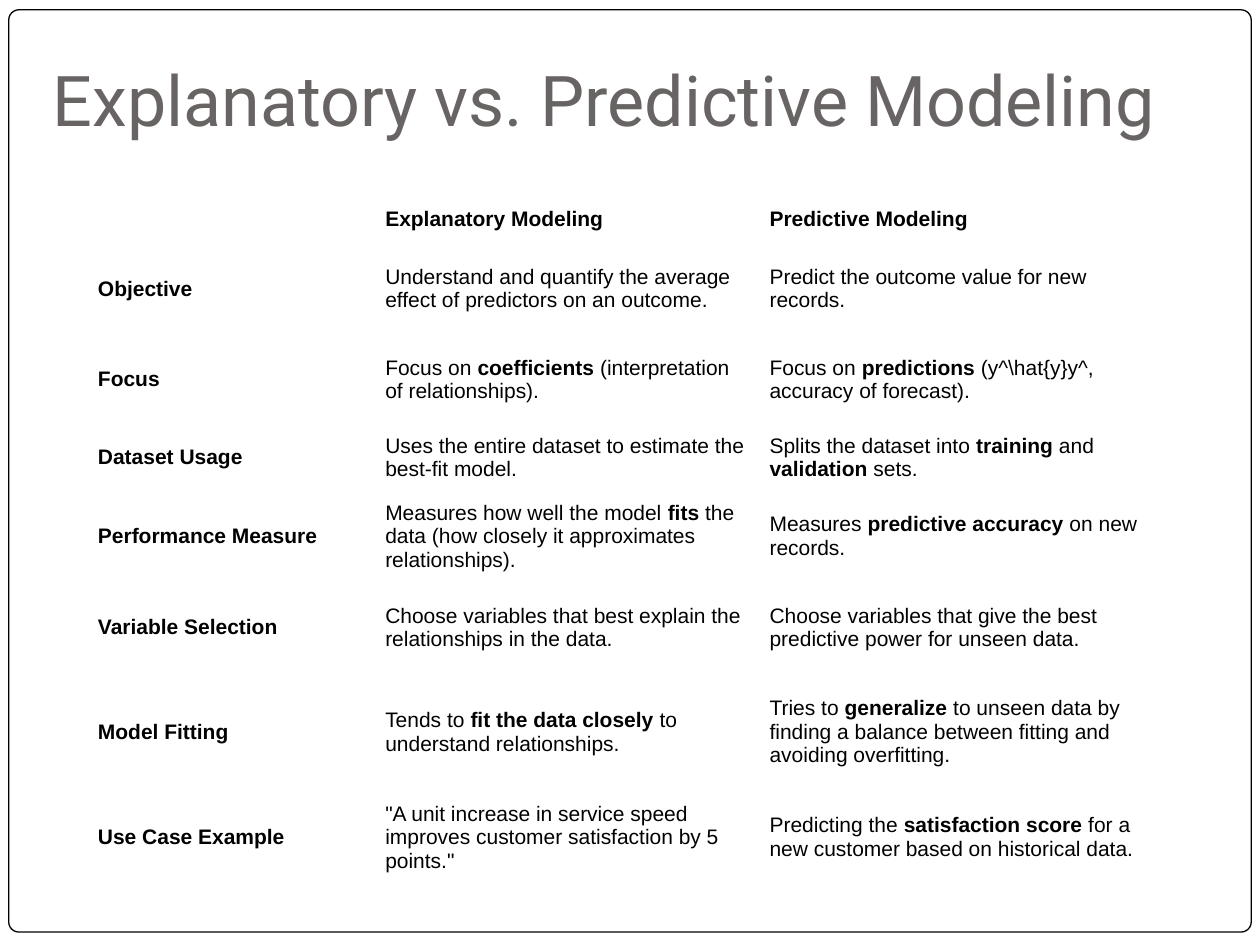
from dataclasses import dataclass

from pptx import Presentation
from pptx.dml.color import RGBColor
from pptx.enum.shapes import MSO_SHAPE
from pptx.enum.text import MSO_ANCHOR, MSO_AUTO_SIZE, PP_ALIGN
from pptx.util import Pt


@dataclass(frozen=True)
class Theme:
    paper: RGBColor = RGBColor(0xFF, 0xFF, 0xFF)
    ink: RGBColor = RGBColor(0x00, 0x00, 0x00)
    title_color: RGBColor = RGBColor(0x69, 0x64, 0x64)
    title_font: str = "Roboto"
    body_font: str = "Arial"
    title_size: float = 40
    body_size: float = 12
    frame_width: float = 0.75


COLUMN_WIDTHS = (164.2, 219.6, 233.2)
ROW_HEIGHTS = (22.4, 51.8, 51.8, 37.4, 52.6, 51.8, 67.7, 52.6)

# Text between double asterisks is bold
COMPARISON = (
    ("", "**Explanatory Modeling**", "**Predictive Modeling**"),
    ("**Objective**",
     "Understand and quantify the average effect of predictors on an outcome.",
     "Predict the outcome value for new records."),
    ("**Focus**",
     "Focus on **coefficients** (interpretation of relationships).",
     r"Focus on **predictions** (y^\hat{y}y^, accuracy of forecast)."),
    ("**Dataset Usage**",
     "Uses the entire dataset to estimate the best-fit model.",
     "Splits the dataset into **training** and **validation** sets."),
    ("**Performance Measure**",
     "Measures how well the model **fits** the data (how closely it approximates relationships).",
     "Measures **predictive accuracy** on new records."),
    ("**Variable Selection**",
     "Choose variables that best explain the relationships in the data.",
     "Choose variables that give the best predictive power for unseen data."),
    ("**Model Fitting**",
     "Tends to **fit the data closely** to understand relationships.",
     "Tries to **generalize** to unseen data by finding a balance between fitting and avoiding overfitting."),
    ("**Use Case Example**",
     '"A unit increase in service speed improves customer satisfaction by 5 points."',
     "Predicting the **satisfaction score** for a new customer based on historical data."),
)


def write_text(text_frame, text, *, font, size, color, anchor=None):
    """Fill a text frame with one left-aligned paragraph, honouring bold marks."""
    text_frame.word_wrap = True
    if anchor is not None:
        text_frame.vertical_anchor = anchor
    paragraph = text_frame.paragraphs[0]
    paragraph.alignment = PP_ALIGN.LEFT
    for index, part in enumerate(text.split("**")):
        if part:
            run = paragraph.add_run()
            run.text = part
            run.font.name = font
            run.font.size = Pt(size)
            run.font.bold = index % 2 == 1
            run.font.color.rgb = color


class SlideBuilder:
    def __init__(self, slide, theme):
        self.slide = slide
        self.theme = theme

    def title(self, text, left, top, width, height):
        shape = self.slide.shapes.title
        shape.left, shape.top, shape.width, shape.height = map(Pt, (left, top, width, height))
        text_frame = shape.text_frame
        text_frame.auto_size = MSO_AUTO_SIZE.NONE
        text_frame.margin_left = text_frame.margin_right = text_frame.margin_bottom = Pt(7.2)
        text_frame.margin_top = Pt(3.6)
        write_text(text_frame, text, font=self.theme.title_font, size=self.theme.title_size,
                   color=self.theme.title_color, anchor=MSO_ANCHOR.BOTTOM)

    def frame(self, left, top, width, height, rounding):
        shape = self.slide.shapes.add_shape(
            MSO_SHAPE.ROUNDED_RECTANGLE, *map(Pt, (left, top, width, height)))
        shape.adjustments[0] = rounding
        shape.shadow.inherit = False
        shape.fill.solid()
        shape.fill.fore_color.rgb = self.theme.paper
        shape.line.color.rgb = self.theme.ink
        shape.line.width = Pt(self.theme.frame_width)
        # Place the frame behind the title
        self.slide.shapes.title.element.addprevious(shape.element)

    def table(self, rows, left, top, column_widths, row_heights):
        shape = self.slide.shapes.add_table(
            len(rows), len(column_widths), Pt(left), Pt(top),
            Pt(sum(column_widths)), Pt(sum(row_heights)))
        table = shape.table
        table.first_row = table.horz_banding = False
        for column, width in zip(table.columns, column_widths):
            column.width = Pt(width)
        for row, height, texts in zip(table.rows, row_heights, rows):
            row.height = Pt(height)
            for cell, text in zip(row.cells, texts):
                self.cell(cell, text)

    def cell(self, cell, text):
        cell.fill.background()
        cell.vertical_anchor = MSO_ANCHOR.MIDDLE
        cell.margin_left = cell.margin_right = Pt(5.6)
        cell.margin_top = cell.margin_bottom = Pt(2.8)
        write_text(cell.text_frame, text, font=self.theme.body_font,
                   size=self.theme.body_size, color=self.theme.ink)


def main():
    presentation = Presentation()
    presentation.slide_width, presentation.slide_height = Pt(720), Pt(540)
    title_only = presentation.slide_layouts[5]
    builder = SlideBuilder(presentation.slides.add_slide(title_only), Theme())

    # Page frame and heading
    builder.frame(5, 5.6, 710, 527, rounding=0.011)
    builder.title("Explanatory vs. Predictive Modeling", 23, 21.6, 683.3, 66.2)

    # Comparison table
    builder.table(COMPARISON, 50.4, 111.6, COLUMN_WIDTHS, ROW_HEIGHTS)

    presentation.save("out.pptx")


if __name__ == "__main__":
    main()
